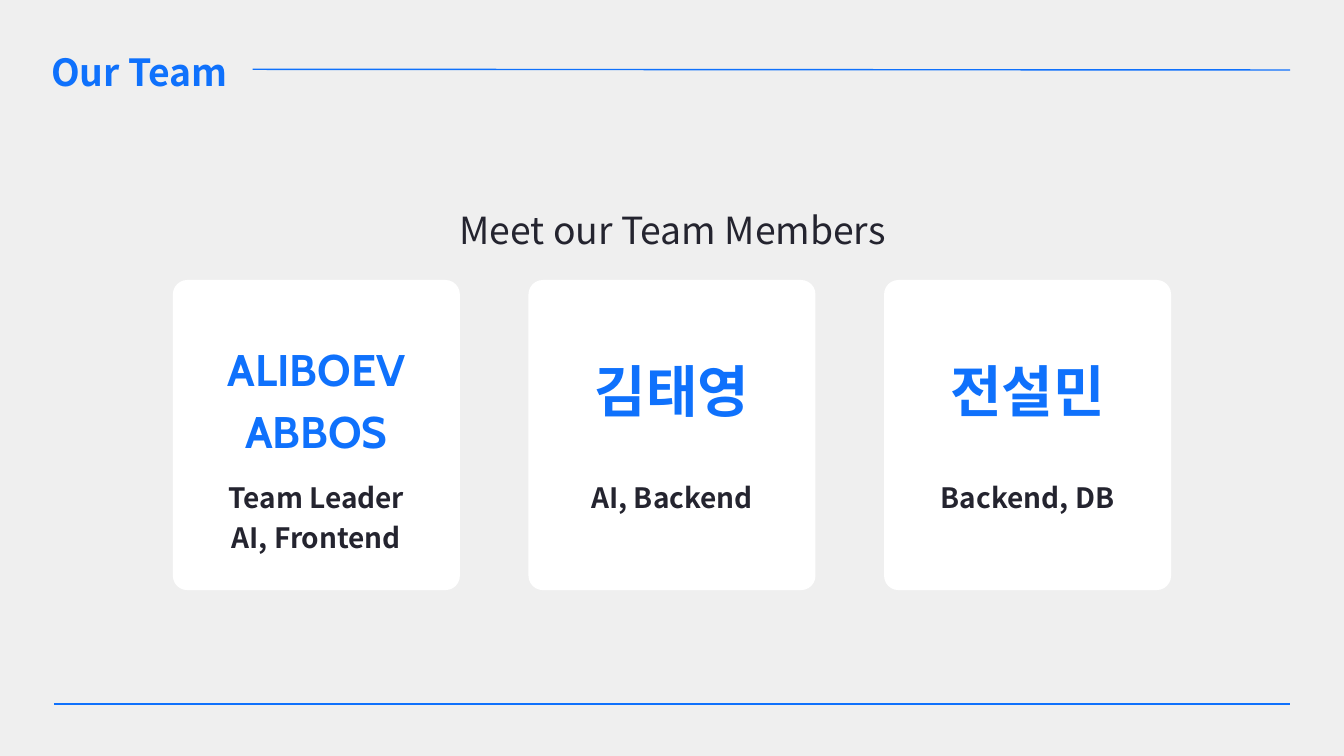
from lxml.etree import SubElement
from pptx import Presentation
from pptx.dml.color import RGBColor
from pptx.enum.shapes import MSO_CONNECTOR, MSO_SHAPE
from pptx.enum.text import MSO_ANCHOR, MSO_AUTO_SIZE, PP_ALIGN
from pptx.oxml.ns import qn
from pptx.util import Pt

EMU_PER_PX = 9525
BLUE = "0F71FC"
DARK = "24242F"
SANS = "Noto Sans CJK SC"
CARD_W, CARD_H, CARD_TOP = 410, 443, 400
CARD_LEFT, CARD_PITCH = 247, 508
TEXT_W = 262

MEMBERS = [
    (["ALIBOEV", "ABBOS"], 476, 47.4, 66.3, ["Team Leader", "AI, Frontend"]),
    (["김태영"], 493, 60, 84, ["AI, Backend"]),
    (["전설민"], 493, 60, 84, ["Backend, DB"]),
]


def px(value):
    return int(value * EMU_PER_PX)


def color(hex_value):
    return RGBColor.from_string(hex_value)


def add_text(s, lines, box, size, spacing, font=SANS, fill=DARK, bold=False,
             align=PP_ALIGN.CENTER, shape=None):
    x, y, w, h = map(px, box)
    sp = shape or s.shapes.add_textbox(x, y, w, h)
    sp.left, sp.top, sp.width, sp.height = x, y, w, h
    tf = sp.text_frame
    tf.margin_left = tf.margin_right = tf.margin_top = tf.margin_bottom = 0
    tf.word_wrap = True
    tf.auto_size = MSO_AUTO_SIZE.NONE
    tf.vertical_anchor = MSO_ANCHOR.TOP
    for i, line in enumerate(lines):
        p = tf.add_paragraph() if i else tf.paragraphs[0]
        p.alignment = align
        p.line_spacing = Pt(spacing)
        r = p.add_run()
        r.text = line
        r.font.name = font
        r.font.size = Pt(size)
        r.font.bold = bold
        r.font.color.rgb = color(fill)


def add_rule(s, x1, y1, x2, y2):
    line = s.shapes.add_connector(MSO_CONNECTOR.STRAIGHT, px(x1), px(y1), px(x2), px(y2))
    line.line.color.rgb = color(BLUE)
    line.line.width = Pt(1.5)
    SubElement(line._element.spPr, qn("a:effectLst"))


def add_card(s, left):
    sp = s.shapes.add_shape(MSO_SHAPE.ROUNDED_RECTANGLE, px(left), px(CARD_TOP),
                            px(CARD_W), px(CARD_H))
    sp.adjustments[0] = 0.05
    sp.shadow.inherit = False
    sp.fill.solid()
    sp.fill.fore_color.rgb = color("FFFFFF")
    sp.line.fill.background()


def add_member(s, left, names, name_top, size, spacing, roles):
    add_card(s, left)
    x = left + (CARD_W - TEXT_W) // 2
    add_text(s, names, (x, name_top, TEXT_W, 88 * len(names)), size, spacing,
             font="Cabin", fill=BLUE, bold=True)
    add_text(s, roles, (x, 679, TEXT_W, 56 * len(roles)), 30, 42, bold=True)


def main():
    prs = Presentation()
    prs.slide_width, prs.slide_height = px(1920), px(1080)
    s = prs.slides.add_slide(prs.slide_layouts[5])
    s.background.fill.solid()
    s.background.fill.fore_color.rgb = color("EFEFEF")
    add_text(s, ["Our Team"], (73, 60, 287, 71), 40, 56, fill=BLUE, bold=True,
             align=PP_ALIGN.LEFT, shape=s.shapes.title)
    add_text(s, ["Meet our Team Members"], (382, 285, 1158, 71), 40, 56)
    for i, member in enumerate(MEMBERS):
        add_member(s, CARD_LEFT + i * CARD_PITCH, *member)
    add_rule(s, 361, 99, 1843, 100)
    add_rule(s, 77, 1006, 1843, 1006)
    prs.save("out.pptx")


if __name__ == "__main__":
    main()
